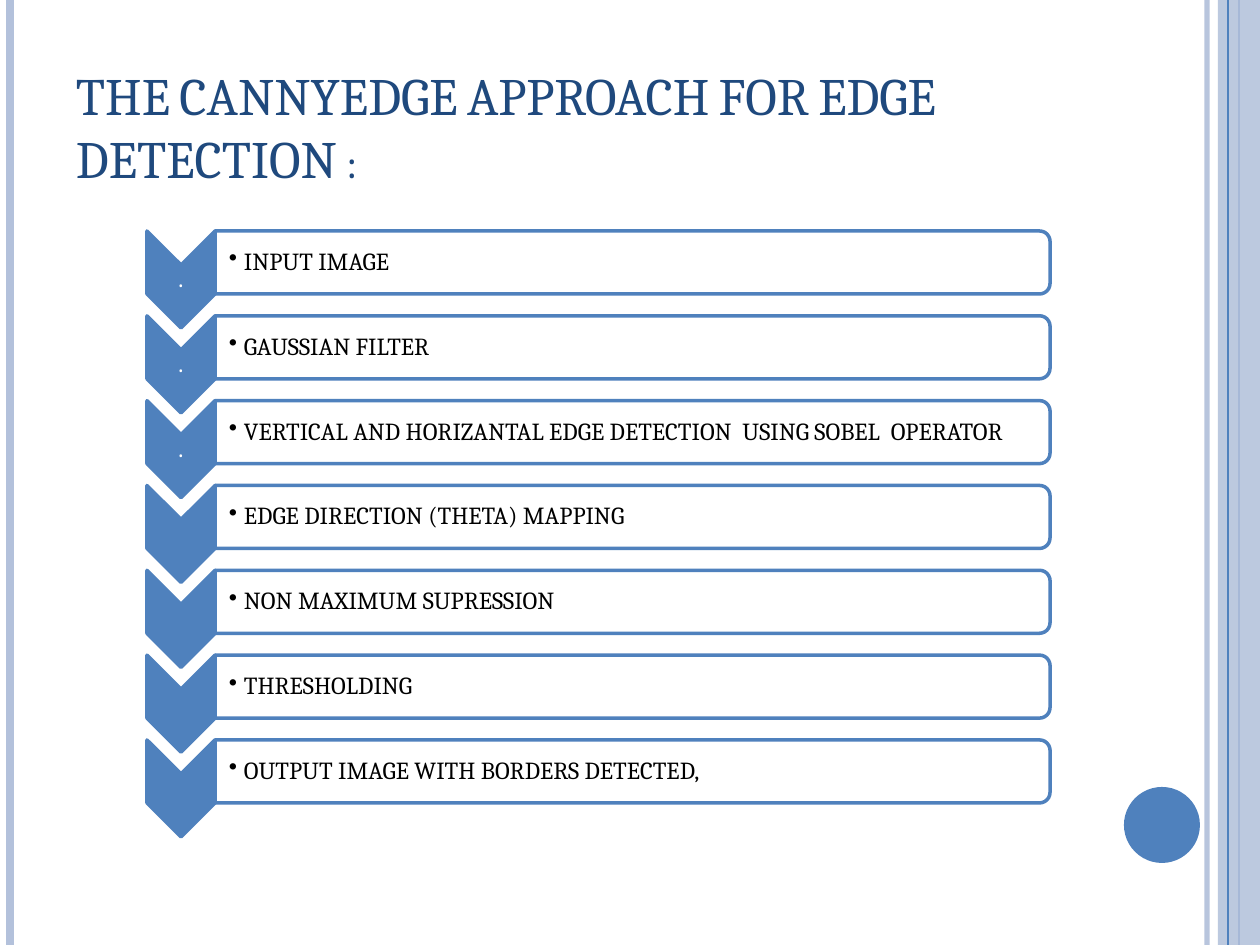
from lxml import etree
from pptx import Presentation
from pptx.dml.color import RGBColor
from pptx.enum.shapes import MSO_CONNECTOR, MSO_SHAPE
from pptx.enum.text import MSO_ANCHOR, PP_ALIGN
from pptx.oxml.ns import qn
from pptx.util import Pt

CHEVRON = MSO_SHAPE.CHEVRON
BAR = MSO_SHAPE.ROUND_2_SAME_RECTANGLE
RECT, OVAL = MSO_SHAPE.RECTANGLE, MSO_SHAPE.OVAL
STRAIGHT = MSO_CONNECTOR.STRAIGHT
MIDDLE, BOTTOM = MSO_ANCHOR.MIDDLE, MSO_ANCHOR.BOTTOM
LEFT, CENTER = PP_ALIGN.LEFT, PP_ALIGN.CENTER

WIDTH, HEIGHT = 1260, 945
FONT = "Cambria"
COLORS = {"blue": "4F81BD", "pale": "B3C1DB", "navy": "1F497D",
          "white": "FFFFFF", "black": "000000"}
TITLE = "THE CANNYEDGE APPROACH FOR EDGE DETECTION :"
STEPS = [
    ("INPUT IMAGE", "."),
    ("GAUSSIAN FILTER", "."),
    ("VERTICAL AND HORIZANTAL EDGE DETECTION  USING SOBEL  OPERATOR", "."),
    ("EDGE DIRECTION (THETA) MAPPING", ""),
    ("NON MAXIMUM SUPRESSION", ""),
    ("THRESHOLDING", ""),
    ("OUTPUT IMAGE WITH BORDERS DETECTED,", ""),
]


def px(n):
    """Turn pixels into EMU."""
    return round(n * 914400 / 126)


def rgb(name):
    """Look up a named colour."""
    return RGBColor.from_string(COLORS[name])


def set_alpha(fill_parent, percent):
    """Make the solid fill inside an element partly transparent."""
    clr = fill_parent.find(qn("a:solidFill"))[0]
    etree.SubElement(clr, qn("a:alpha")).set("val", str(percent * 1000))


def add_rule(s, x, color, width, alpha=None):
    """Draw a vertical line over the full slide height."""
    line = s.shapes.add_connector(STRAIGHT, px(x), 0, px(x), px(HEIGHT))
    line.line.color.rgb = rgb(color)
    line.line.width = Pt(width)
    etree.SubElement(line._element.spPr, qn("a:effectLst"))
    if alpha:
        set_alpha(line._element.spPr.find(qn("a:ln")), alpha)


def add_box(s, kind, box, fill, line=None, alpha=None, turned=False):
    """Add a filled shape covering box, optionally turned by 90 degrees."""
    x, y, w, h = box
    if turned:
        x, y, w, h = x + (w - h) / 2, y + (h - w) / 2, h, w
    sp = s.shapes.add_shape(kind, px(x), px(y), px(w), px(h))
    sp.shadow.inherit = False
    sp.rotation = 90 if turned else 0
    sp.fill.solid()
    sp.fill.fore_color.rgb = rgb(fill)
    if alpha:
        set_alpha(sp._element.spPr, alpha)
    if line:
        sp.line.color.rgb = rgb(line)
        sp.line.width = Pt(2)
    else:
        sp.line.fill.background()
    return sp


def write(sp, text, size=14, color="black", align=LEFT, anchor=MIDDLE,
          insets=(1, 1, 1, 1), spacing=0.9, bullet=False, small_caps=False):
    """Put formatted text into a shape."""
    tf = sp.text_frame
    tf.word_wrap = True
    tf.vertical_anchor = anchor
    (tf.margin_left, tf.margin_top,
     tf.margin_right, tf.margin_bottom) = map(px, insets)
    p = tf.paragraphs[0]
    p.alignment, p.line_spacing = align, spacing
    r = p.add_run()
    r.text = text
    r.font.name, r.font.size = FONT, Pt(size)
    r.font.color.rgb = rgb(color)
    if small_caps:
        r.font._element.set("cap", "small")
    if bullet:
        pPr = p._p.get_or_add_pPr()
        pPr.set("marL", str(px(15)))
        pPr.set("indent", str(-px(15)))
        etree.SubElement(pPr, qn("a:buChar")).set("char", "•")


def add_label(s, box, text, **fmt):
    """Add a text box covering box."""
    write(s.shapes.add_textbox(*map(px, box)), text, **fmt)


def add_frame(s):
    """Draw the side rules, the right band and the disc."""
    add_rule(s, 1207, "pale", 3, alpha=93)
    add_rule(s, 10, "pale", 4.5)
    add_rule(s, 1239, "blue", 1.5)
    add_box(s, RECT, (1218, 0, 42, HEIGHT), "pale", alpha=87)
    add_rule(s, 1228, "blue", 0.75)
    add_box(s, OVAL, (1124, 787, 76, 76), "blue")


def add_title(s, box):
    """Place and fill the title placeholder."""
    sp = s.shapes.title
    sp.left, sp.top, sp.width, sp.height = map(px, box)
    write(sp, TITLE, size=30, color="navy", anchor=BOTTOM,
          insets=(13, 6, 13, 6), spacing=1.0, small_caps=True)


def add_step(s, box, text, mark):
    """Draw one step: a chevron pointing down beside its labelled bar."""
    x, y, w, h = box
    arrow_w, bar_h = 68, 63
    add_box(s, CHEVRON, (x, y, arrow_w, h), "blue", line="blue", turned=True)
    if mark:
        add_label(s, (x, y + 34, arrow_w, 29), mark,
                  color="white", align=CENTER)
    bar_x, bar_w = x + arrow_w, w - arrow_w
    add_box(s, BAR, (bar_x, y, bar_w, bar_h), "white", line="blue",
            alpha=90, turned=True)
    add_label(s, (bar_x, y + 3, bar_w - 3, bar_h - 6), text,
              insets=(14, 1, 1, 1), bullet=True)


def add_steps(s, box):
    """Stack the steps evenly inside box."""
    x, y, w, h = box
    step_h = 97
    pitch = (h - step_h) / (len(STEPS) - 1)
    for i, (text, mark) in enumerate(STEPS):
        add_step(s, (x, y + i * pitch, w, step_h), text, mark)


def main():
    """Build and save the slide."""
    prs = Presentation()
    prs.slide_width, prs.slide_height = px(WIDTH), px(HEIGHT)
    s = prs.slides.add_slide(prs.slide_layouts[5])
    add_frame(s)
    add_steps(s, (147, 231, 903, 606))
    add_title(s, (63, 38, 1029, 157))
    prs.save("out.pptx")


if __name__ == "__main__":
    main()
